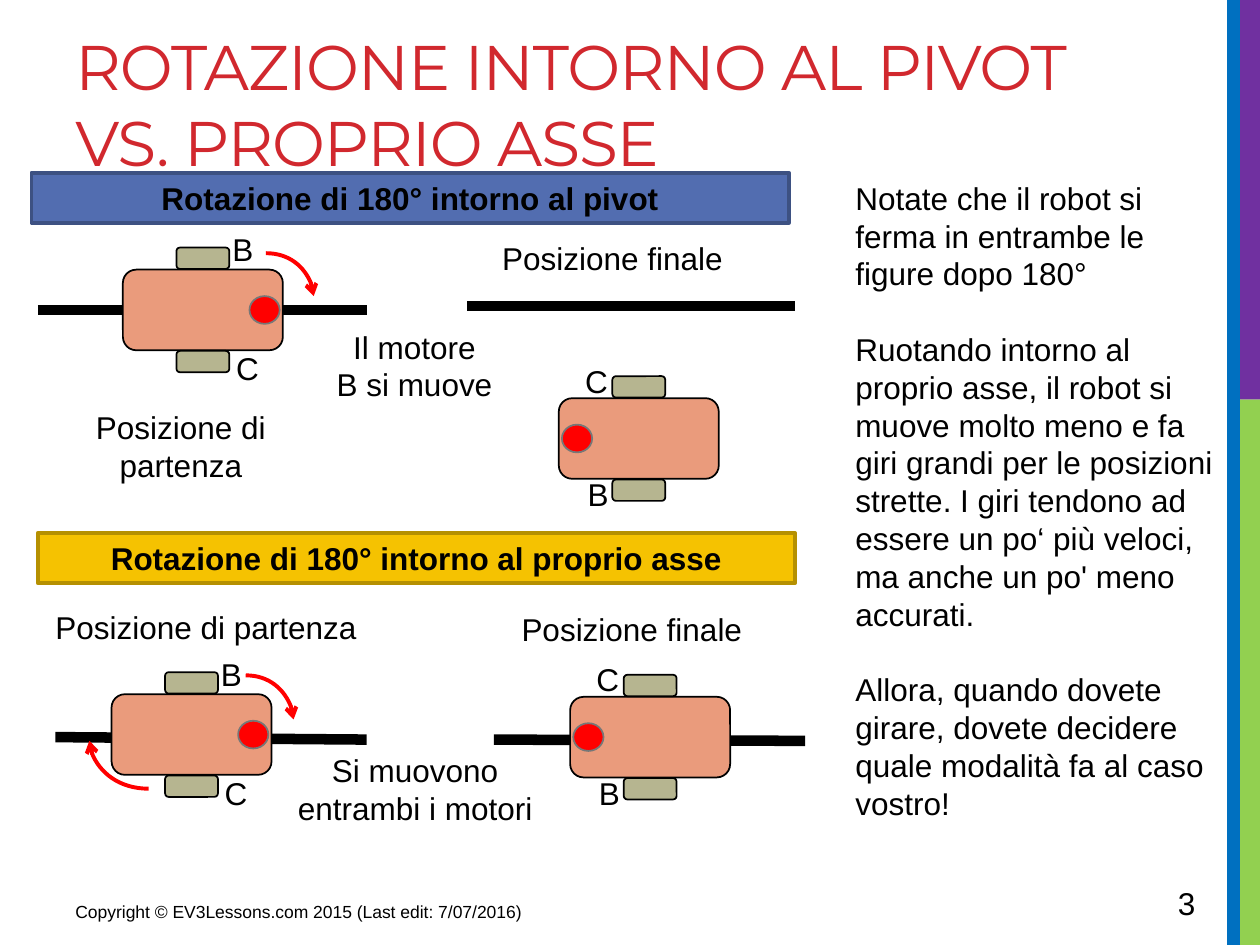
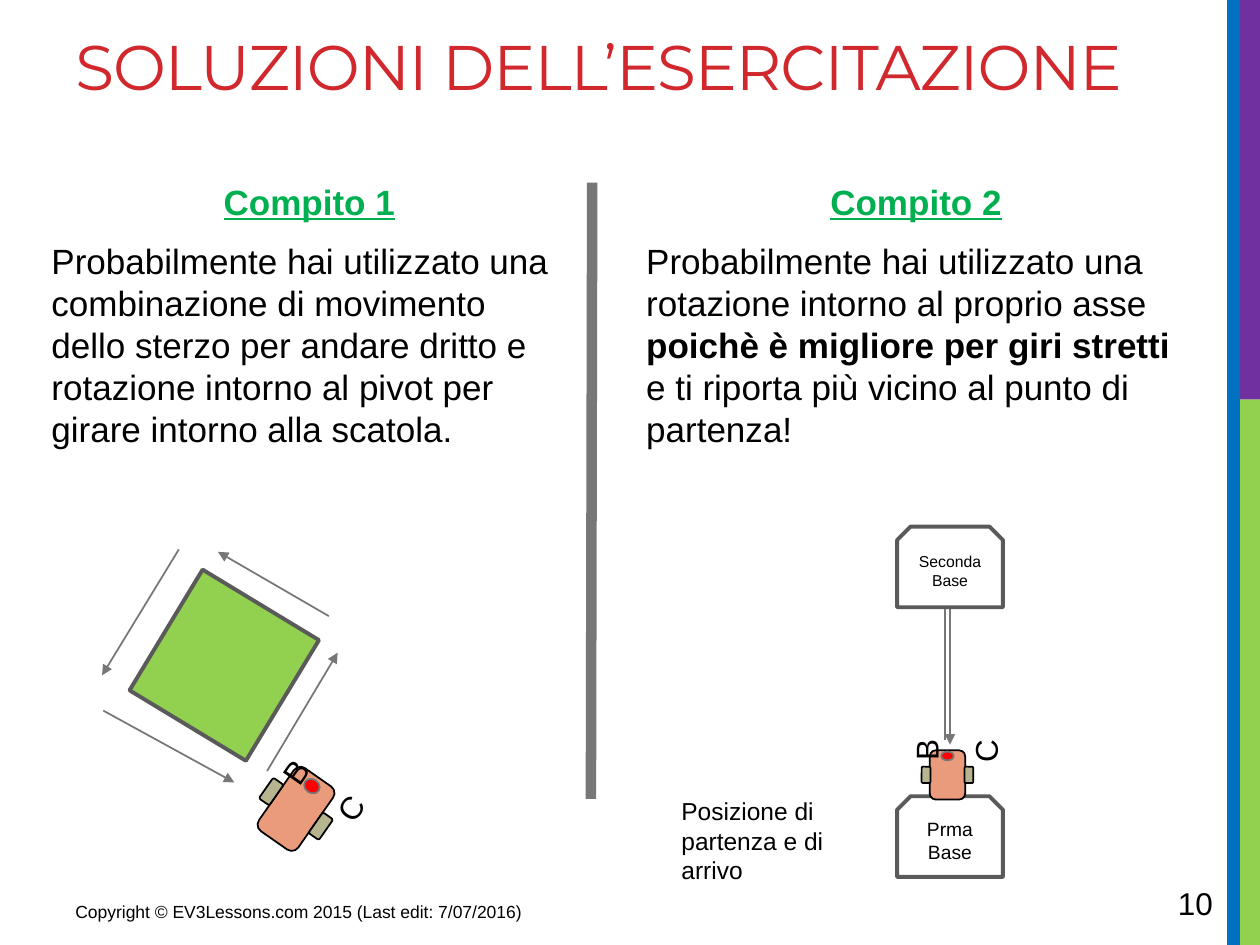
"""Build two slides on pivot turns and spin turns of a robot."""
from dataclasses import dataclass
from math import cos, radians, sin

from lxml import etree
from pptx import Presentation
from pptx import util as u
from pptx.dml.color import RGBColor
from pptx.enum import shapes, text
from pptx.oxml.ns import qn

COLUMNS, ROWS = 10, 7.5
CELL = u.Inches(1)

BLACK = RGBColor(0x00, 0x00, 0x00)
WHITE = RGBColor(0xFF, 0xFF, 0xFF)
RED = RGBColor(0xFF, 0x00, 0x00)
TITLE_RED = RGBColor(0xD1, 0x28, 0x2E)
LIME = RGBColor(0x92, 0xD0, 0x50)
PURPLE = RGBColor(0x70, 0x30, 0xA0)
BLUE = RGBColor(0x00, 0x70, 0xC0)
GREEN = RGBColor(0x00, 0xB0, 0x50)
GRAY = RGBColor(0x77, 0x77, 0x77)
DARK_GRAY = RGBColor(0x5A, 0x5A, 0x5A)
SALMON = RGBColor(0xEA, 0x9B, 0x7C)
KHAKI = RGBColor(0xB6, 0xB5, 0x90)
PIVOT_BLUE = RGBColor(0x52, 0x6D, 0xB0)
PIVOT_EDGE = RGBColor(0x3D, 0x51, 0x82)
SPIN_GOLD = RGBColor(0xF5, 0xC2, 0x01)
SPIN_EDGE = RGBColor(0xB5, 0x90, 0x01)

RECT = shapes.MSO_SHAPE.RECTANGLE
ROUNDED = shapes.MSO_SHAPE.ROUNDED_RECTANGLE
OVAL = shapes.MSO_SHAPE.OVAL
SNIPPED = shapes.MSO_SHAPE.SNIP_2_SAME_RECTANGLE
CENTER = text.PP_ALIGN.CENTER
LEFT = text.PP_ALIGN.LEFT

COPYRIGHT = "Copyright © EV3Lessons.com 2015 (Last edit: 7/07/2016)"
START, FINISH = "Posizione di partenza", "Posizione finale"


@dataclass
class RobotKind:
    """Robot measures in grid cells, as seen when it heads up the page."""

    body: tuple
    wheel: tuple
    axle: float
    dot: tuple
    dot_ahead: float
    label: tuple
    label_b: tuple
    label_c: tuple
    turned_labels: bool = True


LEAVING = RobotKind((0.64, 1.27), (0.17, 0.42), 0.41, (0.22, 0.24), 0.49,
                    (0.51, 0.32), (-0.52, -0.39), (0.42, -0.42), False)
ARRIVED = RobotKind((0.64, 1.27), (0.17, 0.42), 0.41, (0.22, 0.24), 0.49,
                    (0.51, 0.32), (-0.4, -0.25), (0.5, -0.27), False)
AROUND_BOX = RobotKind((0.38, 0.61), (0.1, 0.2), 0.24, (0.13, 0.11), 0.22,
                       (0.25, 0.19), (-0.28, -0.18), (0.24, -0.19))
AT_BASE = RobotKind((0.28, 0.39), (0.07, 0.13), 0.17, (0.1, 0.07), 0.15,
                    (0.16, 0.14), (-0.3, -0.13), (0.17, -0.12))


def cells(*counts):
    """Turn counts of grid cells into lengths."""
    return [int(CELL * count) for count in counts]


def apply(target, formats):
    """Set every attribute named in formats on target."""
    for name, value in formats.items():
        setattr(target, name, value)


def write(frame, spans, size=18, color=BLACK, align=LEFT, gap=0, after=0, **formats):
    """Write one paragraph of spans; a newline span is a line break."""
    para = frame.paragraphs[0]
    if para.runs:
        para = frame.add_paragraph()
        para.space_before = u.Pt(gap)
    apply(para, {"alignment": align, "space_after": u.Pt(after)})
    for span in spans:
        if span == "\n":
            para.add_line_break()
            continue
        font = para.add_run()
        font.text = span
        apply(font.font, {"name": "Arial", "size": u.Pt(size), **formats})
        font.font.color.rgb = color
    return para


def add_text(page, place, paragraphs, turn=0, grow=True, **formats):
    """Add a wrapping text box with one paragraph for each string."""
    box = page.shapes.add_textbox(*cells(*place))
    box.rotation = turn
    box.text_frame.word_wrap = True
    if grow:
        box.text_frame.auto_size = text.MSO_AUTO_SIZE.SHAPE_TO_FIT_TEXT
    for words in paragraphs:
        write(box.text_frame, [words], **formats)
    return box


def add_shape(page, kind, place, fill, edge=None, weight=1, turn=0):
    """Add a flat shape, with an outline if edge is given."""
    shape = page.shapes.add_shape(kind, *cells(*place))
    shape.shadow.inherit = False
    shape.rotation = turn
    shape.fill.solid()
    shape.fill.fore_color.rgb = fill
    if edge is None:
        shape.line.fill.background()
    else:
        shape.line.color.rgb = edge
        shape.line.width = u.Pt(weight)
    return shape


def add_line(page, start, end, color=BLACK, weight=6, head=None, curved=False):
    """Add a straight line or a quarter curve, with an optional arrowhead."""
    kinds = shapes.MSO_CONNECTOR
    line = page.shapes.add_connector(
        kinds.CURVE if curved else kinds.STRAIGHT, *cells(*start, *end))
    line.line.color.rgb = color
    line.line.width = u.Pt(weight)
    properties = line._element.spPr
    if curved:
        properties.find(qn("a:prstGeom")).set("prst", "curvedConnector2")
    if head:
        etree.SubElement(properties.find(qn("a:ln")), qn("a:tailEnd"), type=head)
    etree.SubElement(properties, qn("a:effectLst"))


def add_turn_arrow(page, start, end):
    """Add a red curved arrow that shows a moving wheel."""
    add_line(page, start, end, RED, 2.25, "arrow", curved=True)


def add_route(page, start, end):
    """Add a thin gray arrow along the robot's path."""
    add_line(page, start, end, GRAY, 1, "triangle")


def add_robot(page, kind, center, heading):
    """Draw a robot with two wheels, a pivot dot and its motor labels."""
    angle = radians(heading)

    def around(offset, size):
        """Place a part of the given size at an offset that turns with the robot."""
        across, down = offset
        x = center[0] + across * cos(angle) - down * sin(angle)
        y = center[1] + across * sin(angle) + down * cos(angle)
        return x - size[0] / 2, y - size[1] / 2, *size

    parts = [
        (ROUNDED, (0, 0), kind.body, SALMON, BLACK),
        (ROUNDED, (kind.axle, 0), kind.wheel, KHAKI, BLACK),
        (ROUNDED, (-kind.axle, 0), kind.wheel, KHAKI, BLACK),
        (OVAL, (0, -kind.dot_ahead), kind.dot, RED, GRAY),
    ]
    for outline, offset, size, fill, edge in parts:
        add_shape(page, outline, around(offset, size), fill, edge, turn=heading)
    turn = heading - 90 if kind.turned_labels else 0
    for motor, offset in (("B", kind.label_b), ("C", kind.label_c)):
        add_text(page, around(offset, kind.label), [motor], turn)


def add_banner(page, place, words, fill, edge):
    """Add a coloured section heading."""
    banner = add_shape(page, RECT, place, fill, edge, 2.25)
    write(banner.text_frame, [words], align=CENTER, bold=True)


def add_base(page, place, lines, size):
    """Add a white base with cut corners."""
    base = add_shape(page, SNIPPED, place, WHITE, DARK_GRAY, 2.25)
    for words in lines:
        write(base.text_frame, [words], size, align=CENTER)


def add_task(page, place, heading, spans):
    """Add a task's underlined heading and its solution."""
    frame = add_text(page, place, [], grow=False).text_frame
    write(frame, [heading], 20, GREEN, CENTER, after=6, bold=True, underline=True)
    return write(frame, spans, 20, gap=4, after=6)


def add_page(deck, title, number):
    """Add a blank page with side bands, title, copyright line and number."""
    page = deck.slides.add_slide(deck.slide_layouts[6])
    split = 3.17
    add_shape(page, RECT, (9.84, split, 0.16, ROWS - split), LIME)
    add_shape(page, RECT, (9.8, 0, 0.2, split), PURPLE)
    add_shape(page, RECT, (9.74, 0, 0.1, ROWS), BLUE)
    box = add_text(page, (0.5, 0.17, 9.02, 1.5), [], grow=False)
    para = write(box.text_frame, title, 36, TITLE_RED, name="Montserrat")
    for span in para.runs:
        span._r.get_or_add_rPr().set("spc", "-60")
    add_text(page, (0.5, 7.1, 3.75, 0.31), [COPYRIGHT], grow=False, size=10)
    add_text(page, (9.25, 6.97, 0.69, 0.4), [number], grow=False)
    return page


def add_comparison(deck):
    """Compare a half turn around the pivot with one around the robot's axis."""
    page = add_page(
        deck, ["ROTAZIONE INTORNO AL PIVOT", "\n", "VS. PROPRIO ASSE"], "3")
    for start, end in (
        ((3.92, 5.87), (6.39, 5.88)),
        ((0.44, 5.85), (2.91, 5.87)),
        ((0.3, 2.46), (2.91, 2.46)),
        ((3.71, 2.43), (6.31, 2.43)),
    ):
        add_line(page, start, end)
    add_banner(page, (0.25, 1.37, 6.01, 0.4),
               "Rotazione di 180° intorno al pivot", PIVOT_BLUE, PIVOT_EDGE)
    add_banner(page, (0.3, 4.23, 6.01, 0.4),
               "Rotazione di 180° intorno al proprio asse", SPIN_GOLD, SPIN_EDGE)
    add_text(page, (6.69, 1.37, 3.07, 5.25), [
        "Notate che il robot si ferma in entrambe le figure dopo 180°",
        "Ruotando intorno al proprio asse, il robot si muove molto meno e fa giri "
        "grandi per le posizioni strette. I giri tendono ad essere un po‘ più "
        "veloci, ma anche un po' meno accurati.",
        "Allora, quando dovete girare, dovete decidere quale modalità fa al caso "
        "vostro!",
    ], gap=21.6)
    for place, lines in (
        ((0.5, 3.19, 1.87, 0.71), [START]),
        ((3.65, 1.85, 2.42, 0.4), [FINISH]),
        ((2.56, 2.55, 1.46, 0.71), ["Il motore", "B si muove"]),
        ((0.25, 4.78, 2.77, 0.4), [START]),
        ((3.58, 4.79, 2.87, 0.4), [FINISH]),
        ((2.16, 5.91, 2.27, 0.71), ["Si muovono entrambi i motori"]),
    ):
        add_text(page, place, lines, align=CENTER)
    for kind, center, heading in (
        (LEAVING, (1.61, 2.46), 90),
        (ARRIVED, (5.07, 3.48), 270),
        (LEAVING, (1.52, 5.83), 90),
        (ARRIVED, (5.16, 5.85), 270),
    ):
        add_robot(page, kind, center, heading)
    add_turn_arrow(page, (2.11, 2.01), (2.49, 2.35))
    add_turn_arrow(page, (1.95, 5.36), (2.33, 5.71))
    add_turn_arrow(page, (1.18, 6.26), (0.71, 5.88))


def add_solutions(deck):
    """Show the solutions of both tasks side by side."""
    page = add_page(deck, ["SOLUZIONI DELL’ESERCITAZIONE"], "10")
    add_task(page, (0.31, 1.38, 4.29, 4.78), "Compito 1", [
        "Probabilmente hai utilizzato una combinazione di movimento dello sterzo "
        "per andare dritto e rotazione intorno al pivot per girare intorno alla "
        "scatola."])
    para = add_task(page, (5.03, 1.38, 4.48, 4.78), "Compito 2", [
        "Probabilmente hai utilizzato una rotazione intorno al proprio asse ",
        "poichè è migliore per giri stretti ",
        "e ti riporta più vicino al punto di partenza!"])
    para.runs[1].font.bold = True
    add_line(page, (4.69, 6.34), (4.7, 1.45), GRAY)

    add_shape(page, RECT, (1.22, 4.74, 1.12, 1.08), LIME, DARK_GRAY, 2.25, 301.2)
    add_robot(page, AROUND_BOX, (2.35, 6.42), 34.9)
    for start, end in (
        ((1.42, 4.36), (0.81, 5.36)),
        ((2.61, 4.89), (1.73, 4.38)),
        ((2.12, 6.12), (2.68, 5.18)),
        ((0.82, 5.64), (1.86, 6.21)),
        ((7.5, 5.87), (7.5, 4.71)),
        ((7.54, 4.82), (7.54, 5.91)),
    ):
        add_route(page, start, end)

    add_text(page, (5.31, 6.27, 1.84, 0.81),
             ["Posizione di partenza e di arrivo"], size=14)
    add_base(page, (7.12, 6.32, 0.84, 0.64), ["Prma", "Base"], 11)
    add_robot(page, AT_BASE, (7.52, 6.15), 0)
    add_base(page, (7.12, 4.18, 0.84, 0.64), ["Seconda Base"], 9)


def main():
    """Build the deck and save it."""
    deck = Presentation()
    deck.slide_width, deck.slide_height = cells(COLUMNS, ROWS)
    add_comparison(deck)
    add_solutions(deck)
    deck.save("out.pptx")


if __name__ == "__main__":
    main()
